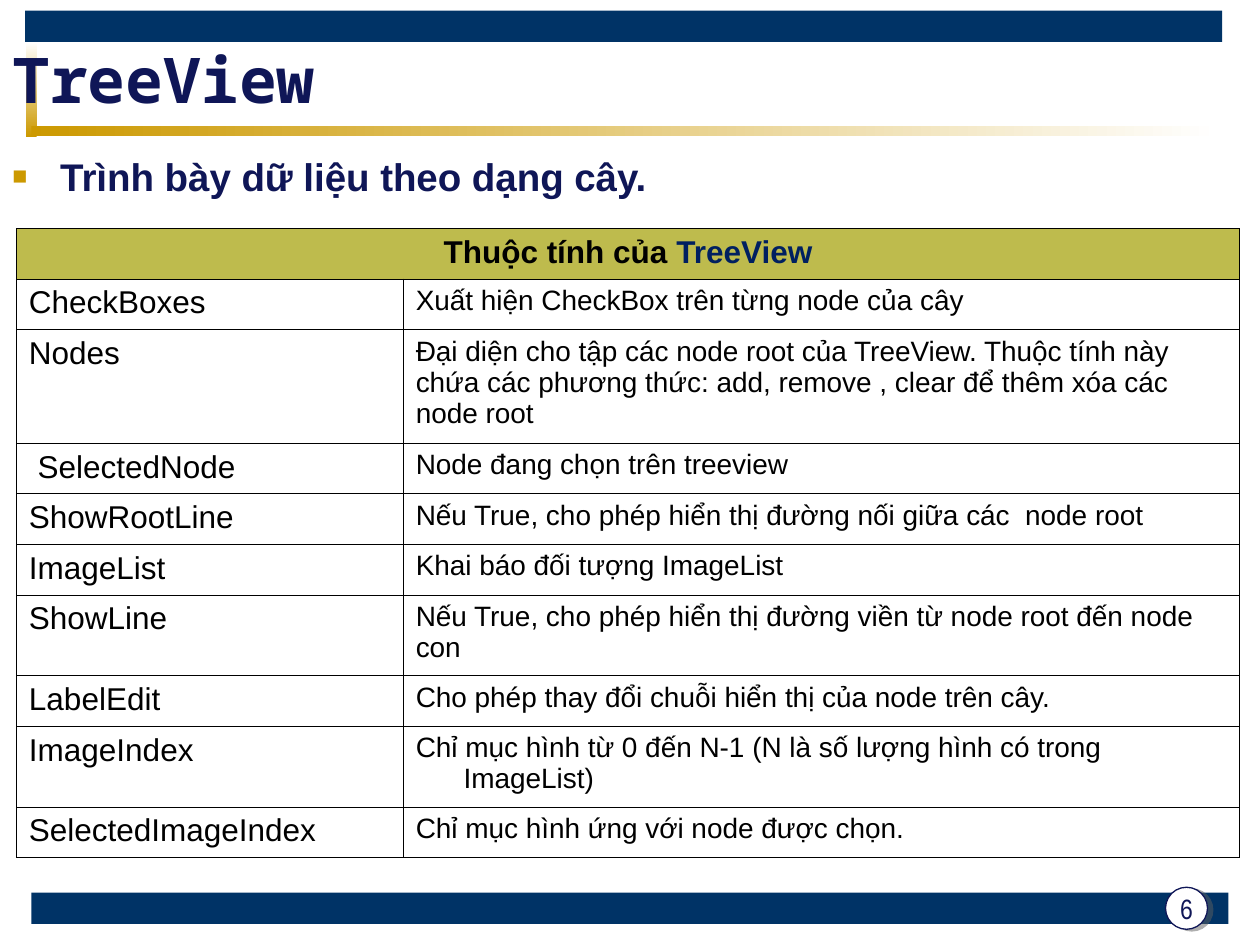
"""Build the TreeView slide: title, lead bullet and a table of properties."""
from dataclasses import dataclass

from lxml import etree
from pptx import Presentation
from pptx import util as u
from pptx.dml.color import RGBColor
from pptx.enum import shapes, text
from pptx.oxml import parse_xml
from pptx.oxml.ns import nsdecls, qn


@dataclass(frozen=True)
class Theme:
    navy: str = "003366"
    ink: str = "0F1657"
    gold: str = "CC9900"
    olive: str = "BEBB4D"
    accent: str = "002060"
    black: str = "000000"
    white: str = "FFFFFF"
    body_font: str = "Arial"
    title_font: str = "Noto Sans Mono"
    number_font: str = "Arial Narrow"
    title: int = 36
    lead: int = 22
    name: int = 18
    detail: int = 16


theme = Theme()
presentation = Presentation()
presentation.slide_width = u.Inches(10)
presentation.slide_height = u.Inches(7.5)
slide = presentation.slides.add_slide(presentation.slide_layouts[6])
UNIT = presentation.slide_width / 120
HANG = u.Inches(0.38)


def grid(*lengths):
    return [round(length * UNIT) for length in lengths]


def add_run(paragraph, words, size, color, font=theme.body_font, bold=False):
    run = paragraph.add_run()
    run.text = words
    run.font.size = u.Pt(size)
    run.font.name = font
    run.font.bold = bold
    run.font.color.rgb = RGBColor.from_string(color)


for box in [(3, 85, 114, 3), (2.4, 1, 114, 3)]:
    bar = slide.shapes.add_shape(shapes.MSO_SHAPE.RECTANGLE, *grid(*box))
    bar.shadow.inherit = False
    bar.fill.solid()
    bar.fill.fore_color.rgb = RGBColor.from_string(theme.navy)
    bar.line.fill.background()

for box, angle, colors in [
    ((2.5, 4, 1, 9), 270, (theme.white, theme.gold)),
    ((3, 12, 113, 1), 0, (theme.gold, theme.white)),
]:
    rule = slide.shapes.add_shape(shapes.MSO_SHAPE.RECTANGLE, *grid(*box))
    rule.shadow.inherit = False
    rule.fill.gradient()
    rule.fill.gradient_angle = angle
    for stop, color in zip(rule.fill.gradient_stops, colors):
        stop.color.rgb = RGBColor.from_string(color)
    rule.line.fill.background()

badge = slide.shapes.add_shape(shapes.MSO_SHAPE.OVAL, *grid(111, 84.5, 4, 4))
badge.shadow.inherit = False
badge.fill.solid()
badge.fill.fore_color.rgb = RGBColor.from_string(theme.white)
badge.line.color.rgb = RGBColor.from_string(theme.ink)
badge.line.width = u.Pt(0.75)
badge.element.spPr.find(qn("a:effectLst")).append(parse_xml(
    f'<a:outerShdw {nsdecls("a")} blurRad="0" dist="{u.Pt(3.2)}" dir="{18 * 60000}" '
    'algn="ctr" rotWithShape="0"><a:srgbClr val="5F5F5F"><a:alpha val="50000"/>'
    '</a:srgbClr></a:outerShdw>'))

middle, top = text.MSO_ANCHOR.MIDDLE, text.MSO_ANCHOR.TOP
left, center = text.PP_ALIGN.LEFT, text.PP_ALIGN.CENTER
for box, anchor, alignment, bullet, words, size, font, bold in [
    ((109.5, 83, 7, 7), middle, center, False, "6", theme.detail, theme.number_font, False),
    ((0, 3, 120, 9), middle, left, False, "TreeView", theme.title, theme.title_font, True),
    ((0, 14, 120, 12), top, left, True, "Trình bày dữ liệu theo dạng cây.",
     theme.lead, theme.body_font, True),
]:
    frame = slide.shapes.add_textbox(*grid(*box)).text_frame
    frame.word_wrap = True
    frame.vertical_anchor = anchor
    paragraph = frame.paragraphs[0]
    paragraph.alignment = alignment
    if bullet:
        properties = paragraph._p.get_or_add_pPr()
        properties.set("marL", str(HANG))
        properties.set("indent", str(-HANG))
        color = etree.SubElement(properties, qn("a:buClr"))
        etree.SubElement(color, qn("a:srgbClr"), val=theme.gold)
        etree.SubElement(properties, qn("a:buSzPct"), val="65000")
        etree.SubElement(properties, qn("a:buFont"), typeface=theme.body_font)
        etree.SubElement(properties, qn("a:buChar"), char="■")
    add_run(paragraph, words, size, theme.ink, font, bold)

ROW, TWO_LINES = 4.83, 7.68
properties_list = [
    ("CheckBoxes", "Xuất hiện CheckBox trên từng node của cây", ROW, True),
    ("Nodes", "Đại diện cho tập các node root của TreeView. Thuộc tính này chứa các "
     "phương thức: add, remove , clear để thêm xóa các node root", 10.8, False),
    (" SelectedNode", "Node đang chọn trên treeview", 4.5, False),
    ("ShowRootLine", "Nếu True, cho phép hiển thị đường nối giữa các  node root", ROW, True),
    ("ImageList", "Khai báo đối tượng ImageList", ROW, True),
    ("ShowLine", "Nếu True, cho phép hiển thị đường viền từ node root đến node con",
     TWO_LINES, False),
    ("LabelEdit", "Cho phép thay đổi chuỗi hiển thị của node trên cây.", ROW, True),
    ("ImageIndex", "Chỉ mục hình từ 0 đến N-1 (N là số lượng hình có trong ImageList)",
     TWO_LINES, True),
    ("SelectedImageIndex", "Chỉ mục hình ứng với node được chọn.", ROW, True),
]
columns = (36.84, 79.68)
heights = [ROW] + [height for _, _, height, _ in properties_list]
table = slide.shapes.add_table(
    len(heights), len(columns), *grid(1.56, 21.75, sum(columns), sum(heights))).table
table.first_row = False
table.horz_banding = False
for column, width in zip(table.columns, grid(*columns)):
    column.width = width
for row, height in zip(table.rows, grid(*heights)):
    row.height = height

for cell in table.iter_cells():
    cell_properties = cell._tc.get_or_add_tcPr()
    for side in ("lnL", "lnR", "lnT", "lnB"):
        border = etree.SubElement(cell_properties, qn(f"a:{side}"), w=str(u.Pt(0.45)))
        fill = etree.SubElement(border, qn("a:solidFill"))
        etree.SubElement(fill, qn("a:srgbClr"), val=theme.black)
    cell.fill.background()

header = table.cell(0, 0)
header.merge(table.cell(0, 1))
header.fill.solid()
header.fill.fore_color.rgb = RGBColor.from_string(theme.olive)
paragraph = header.text_frame.paragraphs[0]
paragraph.alignment = center
add_run(paragraph, "Thuộc tính của ", theme.name, theme.black, bold=True)
add_run(paragraph, "TreeView", theme.name, theme.accent, bold=True)

for index, (name, detail, _, hanging) in enumerate(properties_list, start=1):
    for column, (words, size) in enumerate([(name, theme.name), (detail, theme.detail)]):
        paragraph = table.cell(index, column).text_frame.paragraphs[0]
        if hanging:
            paragraph._p.get_or_add_pPr().set("marL", str(HANG))
            paragraph._p.get_or_add_pPr().set("indent", str(-HANG))
        add_run(paragraph, words, size, theme.black)

presentation.save("out.pptx")
